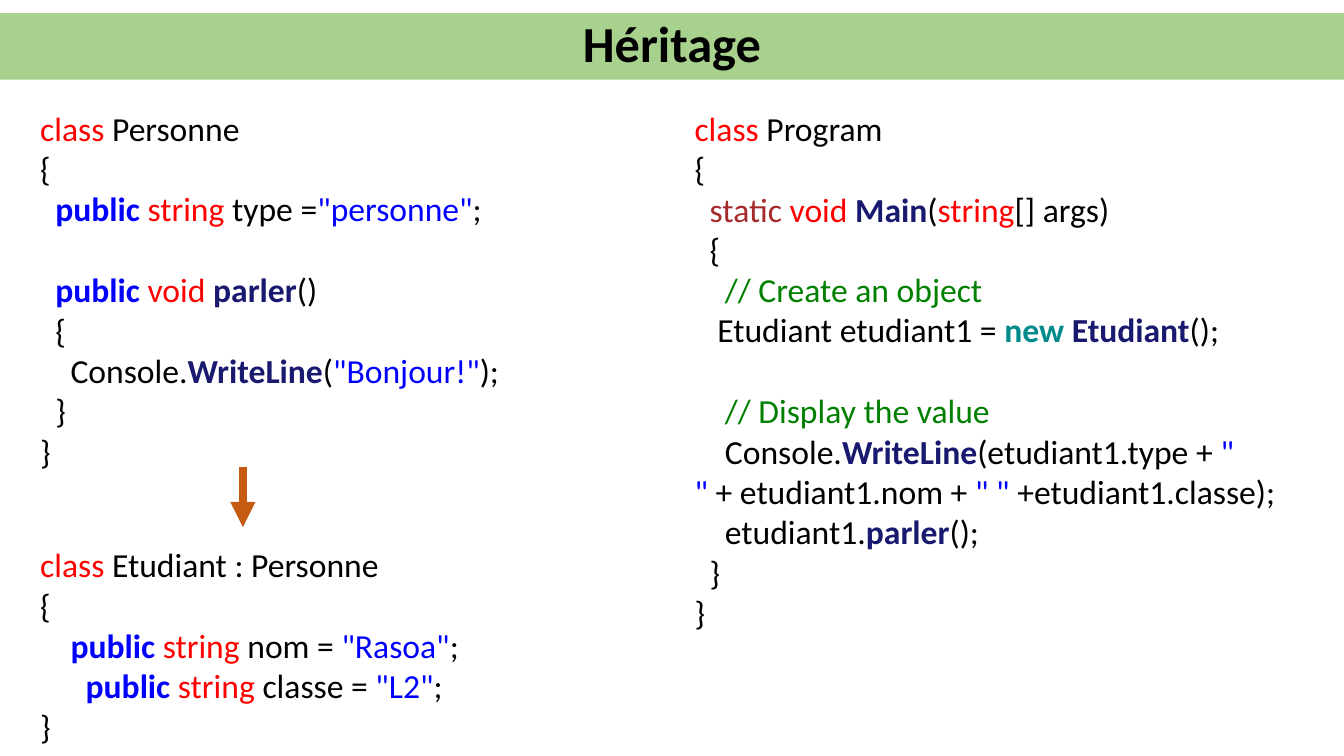
from lxml import etree
from pptx import Presentation
from pptx.dml.color import RGBColor
from pptx.enum.shapes import MSO_CONNECTOR, MSO_SHAPE
from pptx.enum.text import MSO_ANCHOR, MSO_AUTO_SIZE, PP_ALIGN
from pptx.oxml.ns import qn
from pptx.util import Inches, Pt

LINE = MSO_CONNECTOR.STRAIGHT
RECT = MSO_SHAPE.RECTANGLE
MIDDLE, TOP = MSO_ANCHOR.MIDDLE, MSO_ANCHOR.TOP
GROW = MSO_AUTO_SIZE.SHAPE_TO_FIT_TEXT
LEFT, CENTER = PP_ALIGN.LEFT, PP_ALIGN.CENTER

GREEN = RGBColor(0xA9, 0xD1, 0x8E)
ORANGE = RGBColor(0xC5, 0x5A, 0x11)
BLACK = RGBColor(0, 0, 0)
RED = RGBColor(0xFF, 0, 0)
BLUE = RGBColor(0, 0, 0xFF)
BROWN = RGBColor(0xA5, 0x2A, 0x2A)
NAVY = RGBColor(0x19, 0x19, 0x70)
FOREST = RGBColor(0, 0x80, 0)
TEAL = RGBColor(0, 0x8B, 0x8B)

# Each tag in the code gives the colour and weight of what follows it.
STYLES = {
    "ink": (BLACK, False), "head": (BLACK, True), "type": (RED, False),
    "access": (BLUE, True), "str": (BLUE, False), "static": (BROWN, False),
    "name": (NAVY, True), "note": (FOREST, False), "new": (TEAL, True),
}

FONT = "Calibri"
WIDTH, HEIGHT = Inches(13.33), Inches(7.5)
COL, ROW = WIDTH / 160, HEIGHT / 90
SPACE = Pt(5.42)  # width of one space of code
GAP = Pt(29)      # height of one line of code

# A line of code: spaces of indent, tagged text, empty lines above it.
PARENT = [
    (0, "<type>class<ink> Personne", 0),
    (0, "<ink>{", 0),
    (2, '<access>public <type>string<ink> type =<str>"personne"<ink>;', 0),
    (2, "<access>public <type>void <name>parler<ink>()", 1),
    (2, "<ink>{", 0),
    (4, '<ink>Console.<name>WriteLine<ink>(<str>"Bonjour!"<ink>);', 0),
    (2, "<ink>}", 0),
    (0, "<ink>}", 0),
]
CHILD = [
    (0, "<type>class<ink> Etudiant : Personne", 0),
    (0, "<ink>{", 0),
    (4, '<access>public <type>string<ink> nom = <str>"Rasoa"<ink>;', 0),
    (6, '<access>public <type>string<ink> classe = <str>"L2"<ink>;', 0),
    (0, "<ink>}", 0),
]
MAIN = [
    (0, "<type>class<ink> Program", 0),
    (0, "<ink>{", 0),
    (2, "<static>static <type>void <name>Main<ink>(<type>string<ink>[] args)", 0),
    (2, "<ink>{", 0),
    (4, "<note>// Create an object", 0),
    (3, "<ink>Etudiant etudiant1 = <new>new <name>Etudiant<ink>();", 0),
    (4, "<note>// Display the value", 1),
    (4, "<ink>Console.<name>WriteLine<ink>(etudiant1.type\u00a0+\u00a0"
        '<str>" "<ink>\u00a0+\u00a0etudiant1.nom\u00a0+\u00a0'
        '<str>" "<ink>\u00a0+etudiant1.classe);', 0),
    (4, "<ink>etudiant1.<name>parler<ink>();", 0),
    (2, "<ink>}", 0),
    (0, "<ink>}", 0),
]


def place(col, row, cols, rows):
    """Turn a box of grid units into slide lengths."""
    return int(col * COL), int(row * ROW), int(cols * COL), int(rows * ROW)


def write(frame, lines, size=24, align=LEFT, anchor=TOP, lead=1.0):
    """Fill a text frame with tagged lines, one paragraph each."""
    frame.word_wrap = True
    frame.vertical_anchor = anchor
    for i, (indent, text, gap) in enumerate(lines):
        para = frame.add_paragraph() if i else frame.paragraphs[0]
        para.alignment = align
        para.line_spacing = lead
        para.space_before = gap * GAP
        para._p.get_or_add_pPr().set("indent", str(indent * SPACE))
        for piece in text.split("<")[1:]:
            tag, words = piece.split(">", 1)
            run = para.add_run()
            run.text = words
            run.font.name, run.font.size = FONT, Pt(size)
            run.font.color.rgb, run.font.bold = STYLES[tag]


def banner(slide, box, title):
    """Draw the title band across the box."""
    band = slide.shapes.add_shape(RECT, *place(*box))
    band.shadow.inherit = False
    band.fill.solid()
    band.fill.fore_color.rgb = GREEN
    band.line.fill.background()
    write(band.text_frame, [(0, "<head>" + title, 0)], size=36,
          align=CENTER, anchor=MIDDLE, lead=0.9)


def listing(slide, box, lines):
    """Set a block of code in the box."""
    frame = slide.shapes.add_textbox(*place(*box)).text_frame
    write(frame, lines)
    frame.auto_size = GROW


def arrow(slide, box):
    """Draw a thick arrow down the left edge of the box."""
    x, y, _, drop = place(*box)
    link = slide.shapes.add_connector(LINE, x, y, x, y + drop)
    link.line.color.rgb = ORANGE
    link.line.width = Pt(6)
    stroke = link.line._get_or_add_ln()
    etree.SubElement(stroke, qn("a:tailEnd"), type="triangle")
    etree.SubElement(link._element.spPr, qn("a:effectLst"))


def build(deck):
    """Lay out the inheritance slide."""
    slide = deck.slides.add_slide(deck.slide_layouts[6])
    listing(slide, (3.6, 12.24, 80, 44.9), PARENT)
    listing(slide, (3.6, 64.2, 80, 25.4), CHILD)
    arrow(slide, (28.92, 55.56, 0, 7.2))
    listing(slide, (81.5, 12.24, 76.2, 64.2), MAIN)
    banner(slide, (0, 1.56, 160, 7.92), "Héritage")


deck = Presentation()
deck.slide_width, deck.slide_height = WIDTH, HEIGHT
build(deck)
deck.save("out.pptx")
